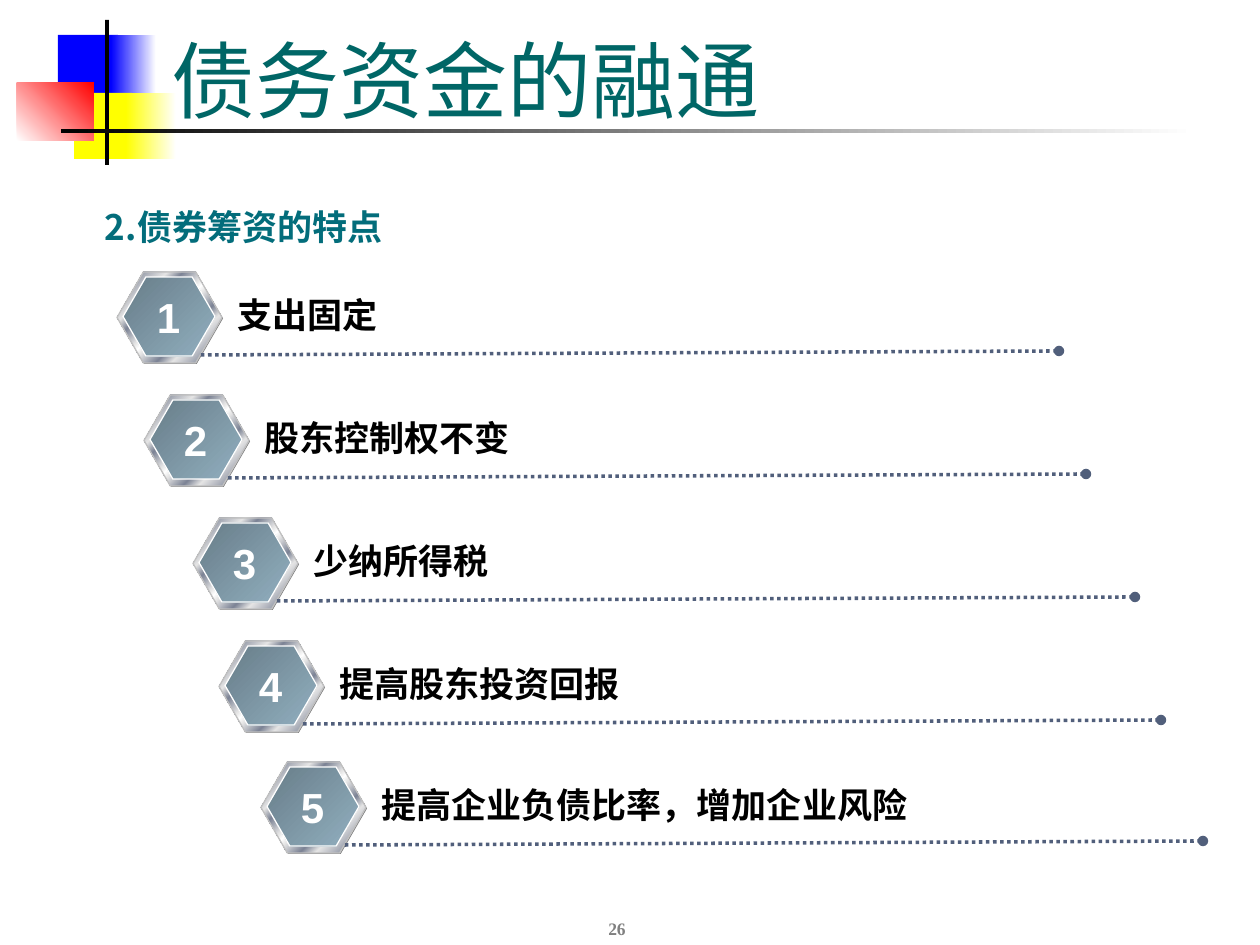
from dataclasses import dataclass
from lxml.etree import SubElement
from pptx import Presentation
from pptx.dml.color import RGBColor
from pptx.enum.dml import MSO_LINE
from pptx.enum.shapes import MSO_CONNECTOR, MSO_SHAPE
from pptx.enum.text import MSO_ANCHOR, PP_ALIGN
from pptx.oxml.ns import qn
from pptx.util import Emu, Pt

DPI = 126
CJK = "Noto Sans CJK SC"
SERIF = "Times New Roman"
STEEL = [(0, "E6E6E6"), (8, "7D8496"), (26, "E6E6E6"), (34, "7D8496"),
         (46, "E6E6E6"), (50, "FFFFFF"), (54, "E6E6E6"), (66, "7D8496"),
         (74, "E6E6E6"), (92, "7D8496"), (100, "E6E6E6")]
SLATE = [(0, "687D89"), (100, "91AFBF")]


@dataclass
class Block:
    x: int
    y: int
    w: int
    h: int
    fill: str | list
    angle: int = 0


@dataclass
class Item:
    x: int
    y: int
    w: int
    text: str


BLOCKS = [
    Block(58, 35, 60, 66, "0000FF"),
    Block(111, 35, 45, 66, [(0, "0000FF"), (100, "FFFFFF")]),
    Block(74, 93, 58, 66, "FFFF00"),
    Block(126, 93, 50, 66, [(0, "FFFF00"), (100, "FFFFFF")]),
    Block(17, 83, 77, 58, [(0, "FFFFFF"), (100, "FF0000")], 315),
    Block(105, 20, 4, 145, "000000"),
    Block(61, 129, 1134, 4, [(0, "000000"), (100, "FFFFFF")]),
]

ITEMS = [
    Item(117, 272, 166, "支出固定"),
    Item(144, 395, 272, "股东控制权不变"),
    Item(193, 518, 202, "少纳所得税"),
    Item(219, 641, 307, "提高股东投资回报"),
    Item(261, 762, 553, "提高企业负债比率，增加企业风险"),
]


def px(n: int) -> Emu:
    return Emu(round(n * 914400 / DPI))


def rgb(code: str) -> RGBColor:
    return RGBColor.from_string(code)


def paint(shape, fill: str | list, angle: int) -> None:
    """Fill with one colour, or with a list of gradient stops."""
    if isinstance(fill, str):
        shape.fill.solid()
        shape.fill.fore_color.rgb = rgb(fill)
        return
    shape.fill.gradient()
    grad = shape._element.spPr.find(qn("a:gradFill"))
    stops = grad.find(qn("a:gsLst"))
    for old in list(stops):
        stops.remove(old)
    for pos, code in fill:
        stop = SubElement(stops, qn("a:gs"), pos=str(pos * 1000))
        SubElement(stop, qn("a:srgbClr"), val=code)
    lin = grad.find(qn("a:lin"))
    lin.set("ang", str(angle * 60000))
    lin.set("scaled", "0")


def draw(slide, kind: MSO_SHAPE, part: Block, edge: str = ""):
    shape = slide.shapes.add_shape(kind, px(part.x), px(part.y), px(part.w), px(part.h))
    shape.shadow.inherit = False
    paint(shape, part.fill, part.angle)
    if edge:
        shape.line.color.rgb = rgb(edge)
        shape.line.width = Pt(0.75)
    else:
        shape.line.fill.background()
    return shape


def hexagon(slide, part: Block, edge: str = "") -> None:
    shape = draw(slide, MSO_SHAPE.HEXAGON, part, edge)
    shape.adjustments[0] = 0.289
    shape.adjustments[1] = 1.155


def write(slide, x: int, y: int, w: int, h: int, text: str, size: int,
          face: str, color: str, bold: bool = True, wrap: bool = True,
          align: PP_ALIGN = PP_ALIGN.LEFT, anchor: MSO_ANCHOR = MSO_ANCHOR.TOP):
    frame = slide.shapes.add_textbox(px(x), px(y), px(w), px(h)).text_frame
    frame.word_wrap = wrap
    frame.vertical_anchor = anchor
    para = frame.paragraphs[0]
    para.text = text
    para.alignment = align
    font = para.font
    font.name, font.size, font.bold = face, Pt(size), bold
    font.color.rgb = rgb(color)
    SubElement(para._p.pPr.find(qn("a:defRPr")), qn("a:ea"), typeface=CJK)
    return frame


def rule(slide, x: int, y: int, end: int, top: int) -> None:
    """Dotted line that ends in a round dot."""
    line = slide.shapes.add_connector(MSO_CONNECTOR.STRAIGHT, px(x), px(y), px(end), px(top))
    line.line.color.rgb = rgb("515F7B")
    line.line.width = Pt(2)
    line.line.dash_style = MSO_LINE.ROUND_DOT
    SubElement(line.line._get_or_add_ln(), qn("a:tailEnd"), type="oval")
    SubElement(line._element.spPr, qn("a:effectLst"))


def entry(slide, num: int, item: Item) -> None:
    x, y = item.x, item.y
    hexagon(slide, Block(x + 1, y + 1, 105, 91, "808080"))
    hexagon(slide, Block(x, y, 105, 91, STEEL, 45), "C0C0C0")
    hexagon(slide, Block(x + 6, y + 5, 92, 79, SLATE, 45), "FFFFFF")
    rule(slide, x + 84, y + 83, x + 942, y + 79)
    write(slide, x + 108, y + 15, item.w, 54, item.text, 20, "Arial", "000000", wrap=False)
    write(slide, x + 27, y + 13, 49, 63, str(num), 24, "Arial", "FFFFFF",
          wrap=False, align=PP_ALIGN.CENTER)


def main() -> None:
    deck = Presentation()
    deck.slide_width, deck.slide_height = px(1260), px(945)
    slide = deck.slides.add_slide(deck.slide_layouts[6])

    # Corner ornament
    for block in BLOCKS:
        draw(slide, MSO_SHAPE.RECTANGLE, block)

    # Page number, title and heading
    write(slide, 486, 882, 262, 63, "26", 10, SERIF, "808080",
          align=PP_ALIGN.CENTER, anchor=MSO_ANCHOR.BOTTOM)
    write(slide, 159, 20, 1074, 116, "债务资金的融通", 48, SERIF, "006666",
          bold=False, anchor=MSO_ANCHOR.BOTTOM)
    head = write(slide, 84, 204, 794, 50, "2.债券筹资的特点", 20, CJK, "036D7B")
    head.margin_left = px(21)
    head.paragraphs[0].line_spacing = 0.9

    # Numbered features
    for num, item in enumerate(ITEMS, 1):
        entry(slide, num, item)

    deck.save("out.pptx")


if __name__ == "__main__":
    main()
